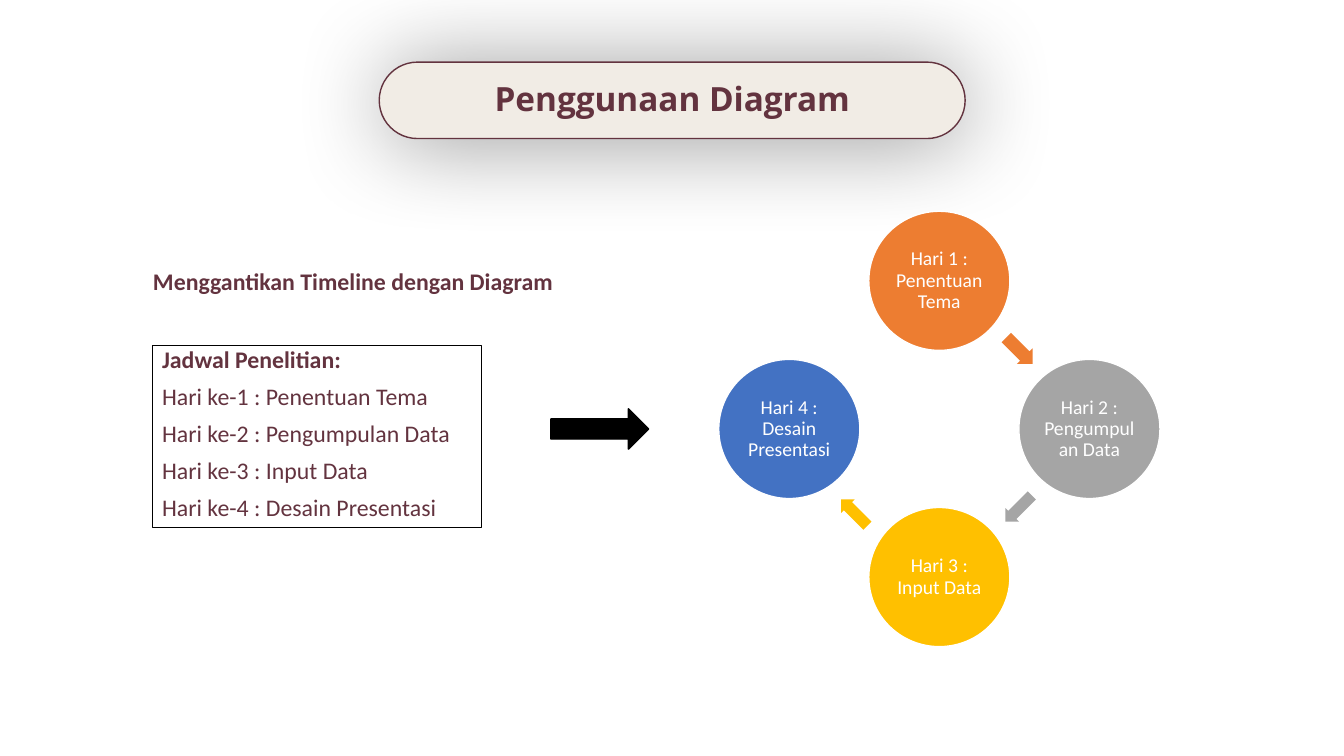
from dataclasses import dataclass
from typing import Any

from lxml.etree import SubElement
from pptx import Presentation
from pptx.dml.color import RGBColor
from pptx.enum.shapes import MSO_SHAPE
from pptx.enum.text import MSO_ANCHOR, MSO_AUTO_SIZE, PP_ALIGN
from pptx.oxml.ns import qn
from pptx.util import Pt

COLORS = {
    "maroon": "63333F", "cream": "F1ECE5", "black": "000000", "white": "FFFFFF",
    "orange": "ED7D31", "gray": "A5A5A5", "yellow": "FFC000", "blue": "4372C3",
}
CYCLE_X, CYCLE_Y = 671, 306.4
RADIUS_X, RADIUS_Y = 107.2, 105.8
CIRCLE_WIDTH, CIRCLE_HEIGHT = 100.8, 99.4

PLAIN_FRAME = {"word_wrap": True, "auto_size": MSO_AUTO_SIZE.NONE,
               "vertical_anchor": MSO_ANCHOR.TOP}
CIRCLE_FRAME = PLAIN_FRAME | {
    "vertical_anchor": MSO_ANCHOR.MIDDLE, "margin_left": Pt(1.4), "margin_right": Pt(1.4),
    "margin_top": Pt(1.4), "margin_bottom": Pt(1.4)}
TITLE_PARAGRAPH = {"alignment": PP_ALIGN.CENTER, "line_spacing": 0.7}
BODY_PARAGRAPH = {"alignment": PP_ALIGN.LEFT, "line_spacing": 0.8}
CIRCLE_PARAGRAPH = {"alignment": PP_ALIGN.CENTER, "line_spacing": 0.9}
TITLE_FONT = {"name": "Open Sans", "size": Pt(23.8), "bold": True}
HEADING_FONT = {"name": "Calibri", "size": Pt(17), "bold": True}
BODY_FONT = HEADING_FONT | {"bold": False}
CIRCLE_FONT = {"name": "Calibri", "size": Pt(14), "bold": False}


@dataclass(frozen=True)
class BlockArrow:
    """A block arrow placed by its centre."""
    x: float
    y: float
    width: float
    height: float
    angle: float
    color: str
    kind: MSO_SHAPE = MSO_SHAPE.RIGHT_ARROW


@dataclass(frozen=True)
class Day:
    """A step of the cycle, in units of the radii from its centre."""
    text: str
    across: int
    down: int
    color: str


DAYS = [
    Day("Hari 1 : Penentuan Tema", 0, -1, "orange"),
    Day("Hari 2 : Pengumpulan Data", 1, 0, "gray"),
    Day("Hari 3 : Input Data", 0, 1, "yellow"),
    Day("Hari 4 : Desain Presentasi", -1, 0, "blue"),
]
DAY_ARROWS = [
    BlockArrow(728.2, 250.6, 26.6, 15.8, 45, "orange"),
    BlockArrow(727.6, 363.2, 26.6, 13.7, 135, "gray"),
    BlockArrow(610.2, 366.1, 26.6, 13.7, 225, "yellow"),
]
SCHEDULE = [
    "Jadwal Penelitian:",
    "Hari ke-1 : Penentuan Tema",
    "Hari ke-2 : Pengumpulan Data",
    "Hari ke-3 : Input Data",
    "Hari ke-4 : Desain Presentasi",
]


def rgb(color: str) -> RGBColor:
    return RGBColor.from_string(COLORS[color])


def apply(target: Any, values: dict[str, Any]) -> None:
    for name, value in values.items():
        setattr(target, name, value)


def add_shape(slide: Any, kind: MSO_SHAPE, box: tuple[float, ...], fill: str | None,
              line: str | None = None, line_width: float = 1) -> Any:
    shape = slide.shapes.add_shape(kind, *map(Pt, box))
    shape.shadow.inherit = False
    if fill:
        shape.fill.solid()
        shape.fill.fore_color.rgb = rgb(fill)
    else:
        shape.fill.background()
    if line:
        shape.line.color.rgb = rgb(line)
        shape.line.width = Pt(line_width)
    else:
        shape.line.fill.background()
    return shape


def write(shape: Any, lines: list[str], frame: dict[str, Any], paragraph_format: dict[str, Any],
          fonts: list[dict[str, Any]], color: str) -> None:
    """Fill a shape with paragraphs; the last font serves all remaining lines."""
    text_frame = shape.text_frame
    apply(text_frame, frame)
    for index, line in enumerate(lines):
        paragraph = text_frame.add_paragraph() if index else text_frame.paragraphs[0]
        apply(paragraph, paragraph_format | {"space_before": Pt(10 if index else 0)})
        run = paragraph.add_run()
        run.text = line
        apply(run.font, fonts[min(index, len(fonts) - 1)])
        run.font.color.rgb = rgb(color)


def add_soft_shadow(shape: Any) -> None:
    effects = shape._element.spPr.find(qn("a:effectLst"))
    shadow = SubElement(effects, qn("a:outerShdw"), blurRad=str(Pt(70)), dist=str(Pt(3)),
                        dir="2700000", algn="tl", rotWithShape="0")
    shade = SubElement(shadow, qn("a:srgbClr"), val=COLORS["black"])
    SubElement(shade, qn("a:alpha"), val="40000")


def add_arrow(slide: Any, arrow: BlockArrow, line: str | None = None) -> Any:
    box = (arrow.x - arrow.width / 2, arrow.y - arrow.height / 2, arrow.width, arrow.height)
    shape = add_shape(slide, arrow.kind, box, arrow.color, line)
    shape.rotation = arrow.angle
    return shape


def add_title(slide: Any) -> None:
    title = slide.shapes.title
    apply(title, {"left": Pt(310.3), "top": Pt(59.8), "width": Pt(339.8), "height": Pt(28.8)})
    write(title, ["Penggunaan Diagram"], PLAIN_FRAME, TITLE_PARAGRAPH, [TITLE_FONT], "maroon")
    pill = add_shape(slide, MSO_SHAPE.ROUNDED_RECTANGLE, (270.9, 44.4, 418.5, 54.6),
                     "cream", "maroon")
    pill.adjustments[0] = 0.5
    add_soft_shadow(pill)
    title._element.addprevious(pill._element)


def add_schedule(slide: Any) -> None:
    heading = slide.shapes.add_textbox(Pt(102.2), Pt(190.8), Pt(324.7), Pt(36))
    write(heading, ["Menggantikan Timeline dengan Diagram"], PLAIN_FRAME, BODY_PARAGRAPH,
          [HEADING_FONT], "maroon")
    schedule = add_shape(slide, MSO_SHAPE.RECTANGLE, (108.7, 246.8, 235, 130.3),
                         None, "black", 0.75)
    write(schedule, SCHEDULE, PLAIN_FRAME, BODY_PARAGRAPH, [HEADING_FONT, BODY_FONT], "maroon")
    add_arrow(slide, BlockArrow(428.4, 306.4, 28.8, 69.8, 270, "black", MSO_SHAPE.DOWN_ARROW),
              "black")


def add_cycle(slide: Any) -> None:
    for day in DAYS:
        left = CYCLE_X + day.across * RADIUS_X - CIRCLE_WIDTH / 2
        top = CYCLE_Y + day.down * RADIUS_Y - CIRCLE_HEIGHT / 2
        circle = add_shape(slide, MSO_SHAPE.OVAL, (left, top, CIRCLE_WIDTH, CIRCLE_HEIGHT),
                           day.color, "white")
        write(circle, [day.text], CIRCLE_FRAME, CIRCLE_PARAGRAPH, [CIRCLE_FONT], "white")
    for arrow in DAY_ARROWS:
        add_arrow(slide, arrow).adjustments[0] = 0.6


def main() -> None:
    presentation = Presentation()
    apply(presentation, {"slide_width": Pt(960), "slide_height": Pt(540)})
    slide = presentation.slides.add_slide(presentation.slide_layouts.get_by_name("Title Only"))
    add_title(slide)
    add_schedule(slide)
    add_cycle(slide)
    presentation.save("out.pptx")


if __name__ == "__main__":
    main()
